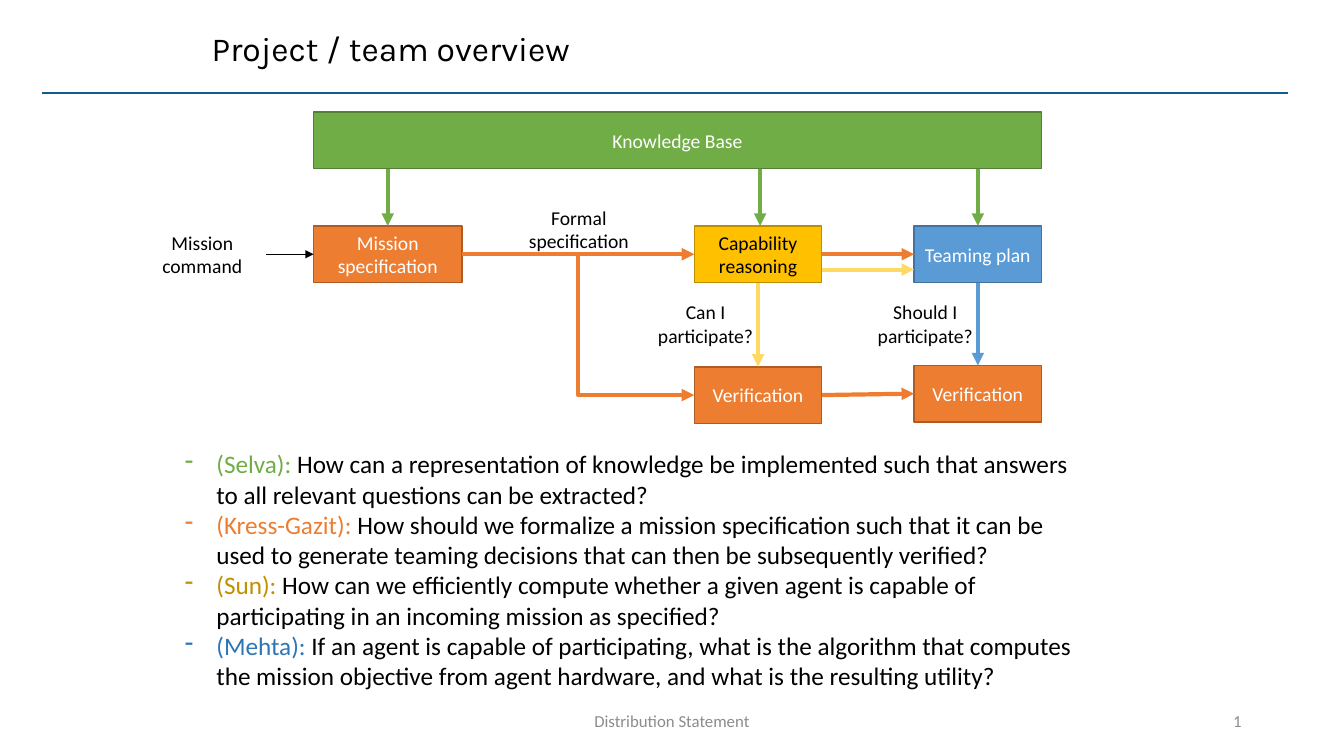
from lxml.etree import SubElement
from pptx import Presentation
from pptx.dml.color import RGBColor
from pptx.enum.shapes import MSO_CONNECTOR, MSO_SHAPE
from pptx.enum.text import MSO_ANCHOR, MSO_AUTO_SIZE, PP_ALIGN
from pptx.oxml.ns import qn
from pptx.util import Pt

BLACK, WHITE, GREY = "000000", "FFFFFF", "8C8C8C"
GREEN, ORANGE, GOLD, BLUE, YELLOW = "70AD47", "ED7D31", "FFC000", "5B9BD5", "FFD966"
EDGES = {GREEN: "538035", ORANGE: "AF5C24", GOLD: "BD8E00", BLUE: "43739E"}
QUESTIONS = [
    ("(Selva): ", GREEN, "How can a representation of knowledge be implemented such that "
     "answers to all relevant questions can be extracted?"),
    ("(Kress-Gazit): ", ORANGE, "How should we formalize a mission specification such that it can "
     "be used to generate teaming decisions that can then be subsequently verified?"),
    ("(Sun): ", "BF9000", "How can we efficiently compute whether a given agent is capable of "
     "participating in an incoming mission as specified?"),
    ("(Mehta): ", "2E75B6", "If an agent is capable of participating, what is the algorithm that "
     "computes the mission objective from agent hardware, and what is the resulting utility?"),
]


def color(value):
    return RGBColor.from_string(value)


def points(*values):
    return [Pt(value) for value in values]


def set_format(target, values):
    for name, value in values.items():
        setattr(target, name, value)


def add_span(para, text, size, tint, font="Calibri"):
    span = para.add_run()
    span.text = text
    set_format(span.font, {"size": Pt(size), "name": font})
    span.font.color.rgb = color(tint)


def write_line(shape, text, size, tint, align, font="Calibri"):
    set_format(shape.text_frame, {"word_wrap": True, "auto_size": MSO_AUTO_SIZE.NONE,
                                  "vertical_anchor": MSO_ANCHOR.MIDDLE})
    para = shape.text_frame.paragraphs[0]
    para.alignment = align
    add_span(para, text, size, tint, font)
    return para


def add_block(slide, box, text, fill=WHITE, tint=BLACK):
    shape = slide.shapes.add_shape(MSO_SHAPE.RECTANGLE, *points(*box))
    shape.shadow.inherit = False
    shape.fill.solid()
    shape.fill.fore_color.rgb = color(fill)
    if fill in EDGES:
        shape.line.color.rgb = color(EDGES[fill])
        shape.line.width = Pt(1)
    else:
        shape.line.fill.background()
    write_line(shape, text, 14, tint, PP_ALIGN.CENTER)


def add_line(slide, ends, tint, width=3, kind=MSO_CONNECTOR.STRAIGHT, arrow=True):
    line = slide.shapes.add_connector(kind, *points(*ends))
    line.line.color.rgb = color(tint)
    line.line.width = Pt(width)
    if arrow:
        SubElement(line.line._get_or_add_ln(), qn("a:tailEnd"), type="triangle")
    SubElement(line._element.spPr, qn("a:effectLst"))


def add_header(slide, box):
    left, top, width, height = box
    add_line(slide, (left, top + height, left + width, top + height), "0F5E90", 1.75, arrow=False)
    title = slide.shapes.title
    set_format(title, dict(zip(("left", "top", "width", "height"),
                               points(left + 114, top, width - 114, 48))))
    para = write_line(title, "Project / team overview", 24, BLACK, PP_ALIGN.LEFT, "Karla")
    para.line_spacing = 0.9


def add_diagram(slide, box):
    left, top, width, height = box
    tall, wide, mission_wide = 40.4, 91, 106
    right = left + width
    capability, teaming = left + 272, right - wide
    middle, bottom = top + 81.4, top + height - tall
    mission_end, capability_end = left + mission_wide, capability + wide
    flow, check = middle + tall / 2, bottom + tall / 2
    capability_mid, teaming_mid = capability + wide / 2, teaming + wide / 2
    command = left - 34 - wide
    question_top = middle + 49.6

    for place, text in [
        ((command, middle), "Mission command"),
        ((left + 144, middle - 18), "Formal specification"),
        ((capability - 37.5, question_top), "Can I participate?"),
        ((teaming - 37.5, question_top), "Should I participate?"),
    ]:
        add_block(slide, (*place, wide, tall), text)

    for place, text, fill, tint in [
        ((left, top, width), "Knowledge Base", GREEN, WHITE),
        ((left, middle, mission_wide), "Mission specification", ORANGE, WHITE),
        ((capability, middle, wide), "Capability reasoning", GOLD, BLACK),
        ((teaming, middle, wide), "Teaming plan", BLUE, WHITE),
        ((capability, bottom, wide), "Verification", ORANGE, WHITE),
        ((teaming, bottom - 1, wide), "Verification", ORANGE, WHITE),
    ]:
        add_block(slide, (*place, tall), text, fill, tint)

    add_line(slide, (command + wide, flow, left, flow), BLACK, 1)
    add_line(slide, (mission_end, flow, capability, check), ORANGE, kind=MSO_CONNECTOR.ELBOW)
    for ends, tint in [
        ((mission_end, flow, capability, flow), ORANGE),
        ((capability_end, flow, teaming, flow), ORANGE),
        ((capability_end, flow + 11, teaming, flow + 11), YELLOW),
        ((capability_end, check, teaming, check - 1), ORANGE),
        ((capability_mid, middle + tall, capability_mid, bottom), YELLOW),
        ((teaming_mid, middle + tall, teaming_mid, bottom - 1), BLUE),
    ]:
        add_line(slide, ends, tint)
    for center in (left + mission_wide / 2, capability_mid + 1.5, teaming_mid):
        add_line(slide, (center, top + tall, center, middle), GREEN)


def add_questions(slide, box):
    frame = slide.shapes.add_textbox(*points(*box)).text_frame
    frame.word_wrap = True
    for index, (name, tint, question) in enumerate(QUESTIONS):
        para = frame.add_paragraph() if index else frame.paragraphs[0]
        add_span(para, name, 18, tint)
        add_span(para, question, 18, BLACK)
        props = para._p.get_or_add_pPr()
        indent = Pt(22.5)
        props.set("marL", str(indent))
        props.set("indent", str(-indent))
        SubElement(props, qn("a:buFontTx"))
        SubElement(props, qn("a:buChar"), char="-")


def add_footer(slide, box):
    left, top, width, height = box
    for start, span_width, text, align in [
        (left, 324, "Distribution Statement", PP_ALIGN.CENTER),
        (left + width - 216, 216, "1", PP_ALIGN.RIGHT),
    ]:
        shape = slide.shapes.add_textbox(*points(start, top, span_width, height))
        write_line(shape, text, 12, GREY, align)


def main():
    deck = Presentation()
    set_format(deck, {"slide_width": Pt(960), "slide_height": Pt(540)})
    page = deck.slides.add_slide(deck.slide_layouts[5])
    add_header(page, (30, 12, 890, 54.5))
    add_diagram(page, (224, 80, 520, 222.4))
    add_questions(page, (125, 317, 654, 181))
    add_footer(page, (318, 500.5, 576, 28.8))
    deck.save("out.pptx")


if __name__ == "__main__":
    main()
